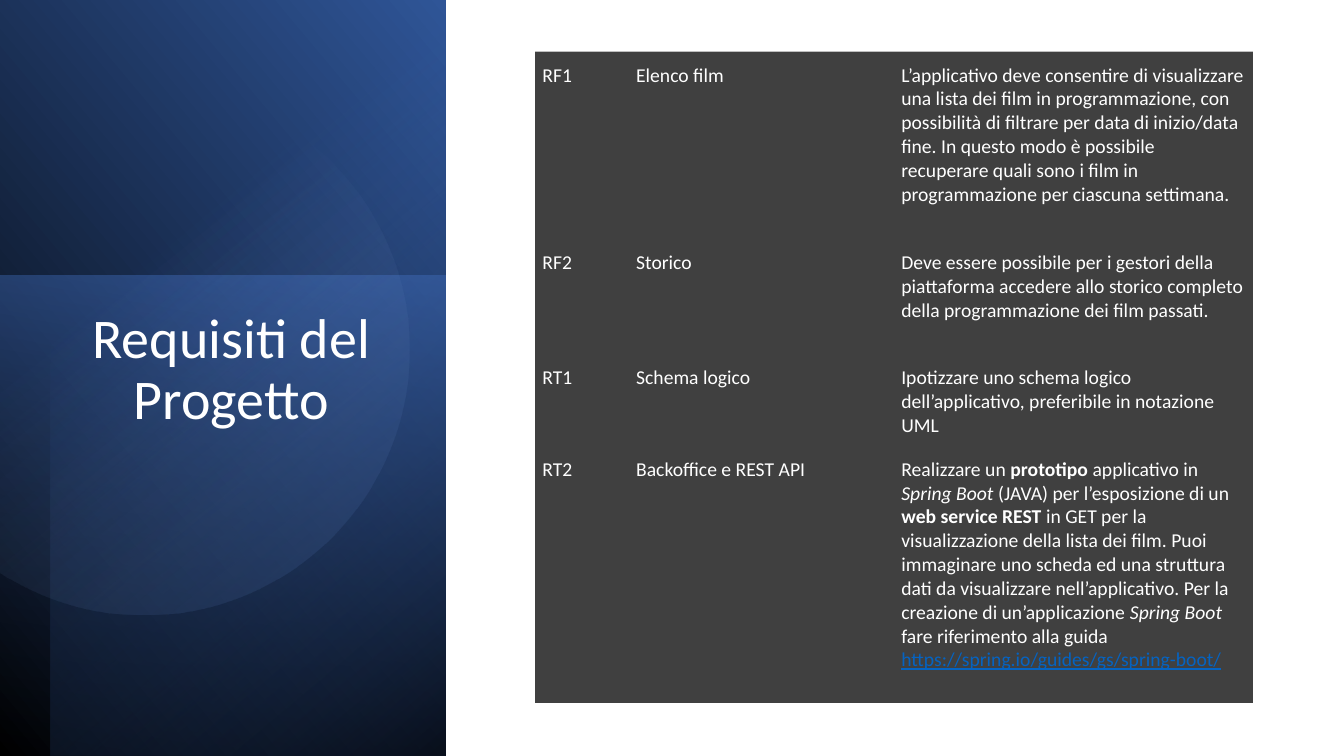
import math

import pptx
import pptx.dml.color
import pptx.enum.shapes
import pptx.enum.text
import pptx.oxml
import pptx.oxml.ns
import pptx.util

Inches = pptx.util.Inches
FONT = "Calibri"
COLOURS = {
    "black": "000000", "white": "FFFFFF", "blue": "2F5597", "bright": "4472C4",
    "navy": "203864", "pale": "8FAADC", "cell": "404040", "rule": "BFBFBF",
    "link": "0563C1",
}


def write(para, text, size=14, colour="white", bold=None, italic=None, underline=None):
    span = para.add_run()
    span.text = text
    span.font.name = FONT
    span.font.size = pptx.util.Pt(size)
    span.font.bold = bold
    span.font.italic = italic
    span.font.underline = underline
    span.font.color.rgb = pptx.dml.color.RGBColor.from_string(COLOURS[colour])


def shade(shape, stops, angle, rotation, flip=False):
    """Gradient of (position, colour, opacity) stops; angle runs clockwise."""
    shape.shadow.inherit = False
    shape.line.fill.background()
    shape.rotation = rotation
    if flip:
        shape._element.spPr.xfrm.set("flipH", "1")
    shape.fill.gradient()
    shape.fill.gradient_angle = 360 - angle
    for stop, (position, colour, opacity) in zip(shape.fill.gradient_stops, stops):
        stop.position = position / 100
        stop.color.rgb = pptx.dml.color.RGBColor.from_string(COLOURS[colour])
        if opacity < 100:
            tint = stop._gs.find(pptx.oxml.ns.qn("a:srgbClr"))
            tint.append(pptx.oxml.parse_xml(
                f'<a:alpha {pptx.oxml.ns.nsdecls("a")} val="{opacity * 1000}"/>'))


deck = pptx.Presentation()
deck.slide_width, deck.slide_height = Inches(13.33), Inches(7.5)
page = deck.slides.add_slide(deck.slide_layouts[5])

# Layered gradients of the left panel
panels = [
    ((-1.55, 1.55, 7.52, 4.42), [(0, "black", 100), (100, "blue", 100)], 310, 90, True),
    ((-0.17, 2.9, 4.76, 4.42), [(0, "bright", 50), (100, "navy", 0)], 190, 270, False),
    ((-1.29, 1.79, 7.5, 3.92), [(0, "black", 59), (69, "bright", 0)], 220, 270, True),
]
for frame, stops, angle, rotation, flip in panels:
    panel = page.shapes.add_shape(
        pptx.enum.shapes.MSO_SHAPE.RECTANGLE, *[Inches(value) for value in frame])
    shade(panel, stops, angle, rotation, flip)

# Circle cut off by the slide's left edge once turned: one curve per quadrant
CENTRE_X, CENTRE_Y, RADIUS, TURN = 1.81, 3.94, 2.63, 101.6
corners = [math.radians(degrees) for degrees in (-224.6, -180, -90, 0, 21.4)]
points = [(math.cos(corners[0]), math.sin(corners[0]))]
for start, end in zip(corners, corners[1:]):
    reach = 4 / 3 * math.tan((end - start) / 4)
    points += [
        (math.cos(start) - reach * math.sin(start), math.sin(start) + reach * math.cos(start)),
        (math.cos(end) + reach * math.sin(end), math.sin(end) - reach * math.cos(end)),
        (math.cos(end), math.sin(end)),
    ]
points = [(Inches(CENTRE_X + RADIUS * x), Inches(CENTRE_Y + RADIUS * y)) for x, y in points]
outline = page.shapes.build_freeform(*points[0])
outline.add_line_segments(points[1:], close=True)
circle = outline.convert_to_shape()
segments = list(circle._element.iter(pptx.oxml.ns.qn("a:lnTo")))
for first in range(0, len(segments), 3):
    curve = pptx.oxml.parse_xml(f'<a:cubicBezTo {pptx.oxml.ns.nsdecls("a")}/>')
    segments[first].addprevious(curve)
    for segment in segments[first:first + 3]:
        curve.append(segment[0])
        segment.getparent().remove(segment)
shade(circle, [(39, "pale", 0), (100, "blue", 26)], 310, TURN)

# Title, brought in front of the panel
title = page.shapes.title
title.left, title.top = Inches(0.72), Inches(3.03)
title.width, title.height = Inches(3.15), Inches(3.36)
page.shapes._spTree.append(title._element)
box = title.text_frame
box.word_wrap = True
box.auto_size = pptx.enum.text.MSO_AUTO_SIZE.NONE
box.vertical_anchor = pptx.enum.text.MSO_ANCHOR.TOP
para = box.paragraphs[0]
para.alignment = pptx.enum.text.PP_ALIGN.CENTER
para.line_spacing = 0.9
write(para, "Requisiti del Progetto", size=40)

# Requirements: code, name, description as (text, format) pieces
BOLD, ITALIC = {"bold": True}, {"italic": True}
requirements = [
    ("RF1", "Elenco film", [
        ("L’applicativo deve consentire di visualizzare una lista dei film in "
         "programmazione, con possibilità di filtrare per data di inizio/data fine. "
         "In questo modo è possibile recuperare quali sono i film in programmazione "
         "per ciascuna settimana.", {})]),
    ("RF2", "Storico", [
        ("Deve essere possibile per i gestori della piattaforma accedere allo storico "
         "completo della programmazione dei film passati.", {})]),
    ("RT1", "Schema logico", [
        ("Ipotizzare uno schema logico dell’applicativo, preferibile in notazione UML", {})]),
    ("RT2", "Backoffice e REST API", [
        ("Realizzare un ", {}),
        ("prototipo ", BOLD),
        ("applicativo in ", {}),
        ("Spring Boot", ITALIC),
        (" (JAVA) per l’esposizione di un ", {}),
        ("web service REST", BOLD),
        (" in GET per la visualizzazione della lista dei film. Puoi immaginare uno "
         "scheda ed una struttura dati da visualizzare nell’applicativo. Per la "
         "creazione di un’applicazione ", {}),
        ("Spring Boot ", ITALIC),
        ("fare riferimento alla guida ", {}),
        ("https://spring.io/guides/gs/spring-boot/", {"colour": "link", "underline": True})]),
]
widths = [0.93, 2.63, 3.56]
heights = [1.86, 1.14, 0.91, 2.56]

# Table without a built-in style
table = page.shapes.add_table(
    len(heights), len(widths), Inches(5.31), Inches(0.51),
    Inches(sum(widths)), Inches(sum(heights))).table
table.first_row = table.horz_banding = False
style = table._tbl.tblPr.find(pptx.oxml.ns.qn("a:tableStyleId"))
style.text = "{2D5ABB26-0587-4C30-8999-92F81FD0307C}"
for column, width in zip(table.columns, widths):
    column.width = Inches(width)
for row, height in zip(table.rows, heights):
    row.height = Inches(height)

for row_index, (code, name, description) in enumerate(requirements):
    for column_index, pieces in enumerate([[(code, {})], [(name, {})], description]):
        cell = table.cell(row_index, column_index)
        cell.margin_left = cell.margin_right = Inches(0.07)
        cell.margin_top, cell.margin_bottom = Inches(0.12), Inches(0.03)
        cell.fill.solid()
        cell.fill.fore_color.rgb = pptx.dml.color.RGBColor.from_string(COLOURS["cell"])
        for text, look in pieces:
            write(cell.text_frame.paragraphs[0], text, **look)
        if row_index == 0:
            # Thin rule along the table's top edge
            cell._tc.tcPr.insert(0, pptx.oxml.parse_xml(
                f'<a:lnT {pptx.oxml.ns.nsdecls("a")} w="12700"><a:solidFill>'
                f'<a:srgbClr val="{COLOURS["rule"]}"/></a:solidFill></a:lnT>'))

deck.save("out.pptx")
